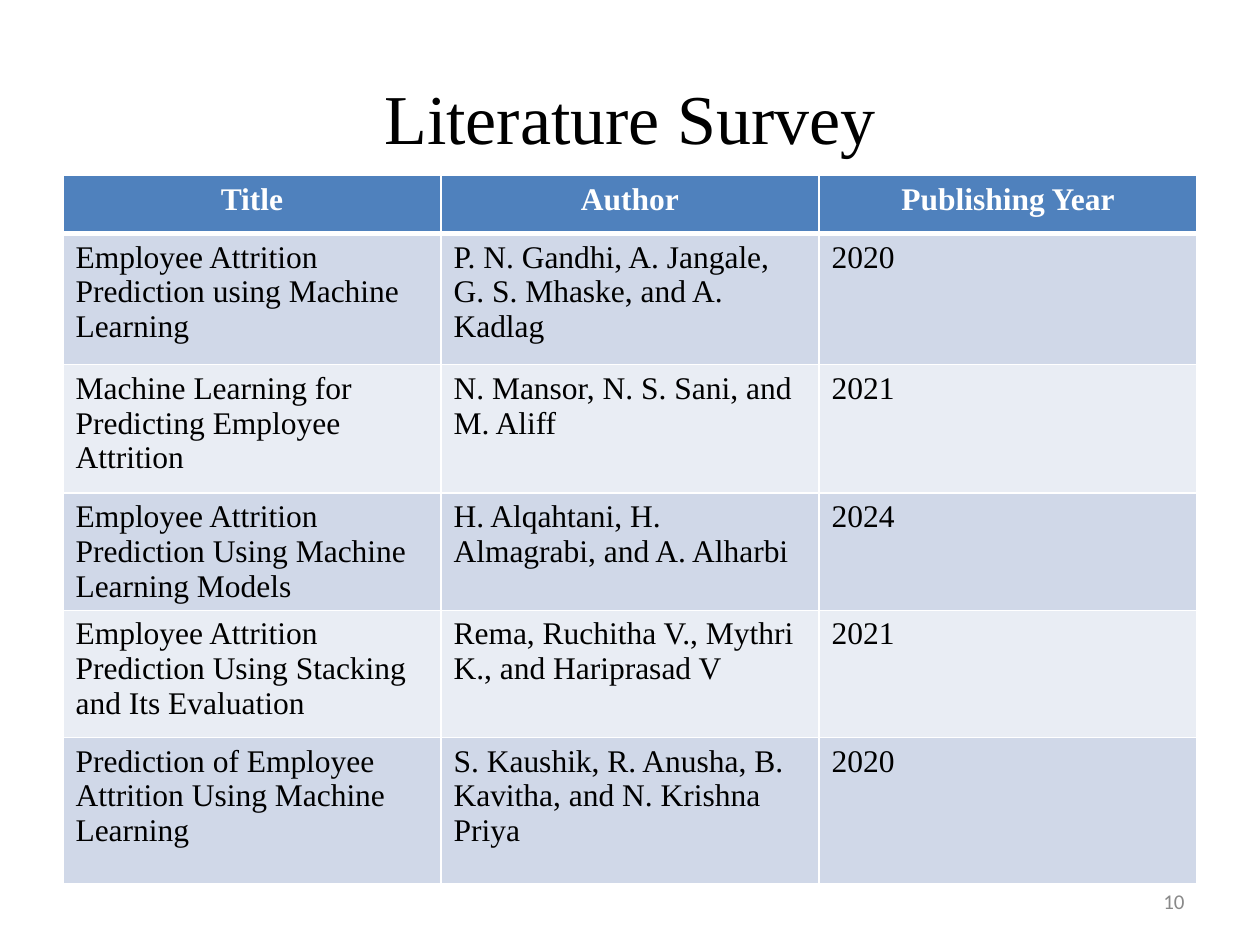
import pptx
import pptx.dml.color
import pptx.enum.text
import pptx.oxml.ns
import pptx.util
from lxml import etree

RGBColor = pptx.dml.color.RGBColor
Inches = pptx.util.Inches
Pt = pptx.util.Pt
ALIGN = pptx.enum.text.PP_ALIGN
MIDDLE = pptx.enum.text.MSO_ANCHOR.MIDDLE

BLACK = RGBColor(0x00, 0x00, 0x00)
WHITE = RGBColor(0xFF, 0xFF, 0xFF)
GRAY = RGBColor(0x89, 0x89, 0x89)
HEADER_BLUE = RGBColor(0x4F, 0x81, 0xBD)
BANDS = [RGBColor(0xD0, 0xD8, 0xE8), RGBColor(0xE9, 0xED, 0xF4)]

SLIDE_WIDTH, SLIDE_HEIGHT = Inches(10), Inches(7.5)
MARGIN = 0.05
ROW_HEIGHTS = [0.46, 1.04, 1.02, 0.93, 1.01, 1.16]

SERIF = "Times New Roman"
TITLE_FORMAT = {"name": SERIF, "size": Pt(40), "bold": False}
HEADER_FORMAT = {"name": SERIF, "size": Pt(18), "bold": True}
BODY_FORMAT = {"name": SERIF, "size": Pt(18), "bold": False}
NUMBER_FORMAT = {"name": "Calibri", "size": Pt(12), "bold": False}

SURVEY = [
    ("Title", "Author", "Publishing Year"),
    ("Employee Attrition Prediction using Machine Learning",
     "P. N. Gandhi, A. Jangale, G. S. Mhaske, and A. Kadlag", "2020"),
    ("Machine Learning for Predicting Employee Attrition",
     "N. Mansor, N. S. Sani, and M. Aliff", "2021"),
    ("Employee Attrition Prediction Using Machine Learning Models",
     "H. Alqahtani, H. Almagrabi, and A. Alharbi", "2024"),
    ("Employee Attrition Prediction Using Stacking and Its Evaluation",
     "Rema, Ruchitha V., Mythri K., and Hariprasad V", "2021"),
    ("Prediction of Employee\vAttrition Using Machine Learning",
     "S. Kaushik, R. Anusha, B. Kavitha, and N. Krishna Priya", "2020"),
]


def area(left, top, width, height):
    return (int(left * SLIDE_WIDTH), int(top * SLIDE_HEIGHT),
            int(width * SLIDE_WIDTH), int(height * SLIDE_HEIGHT))


def write(frame, wording, format_values, color, alignment):
    frame.word_wrap = True
    paragraph = frame.paragraphs[0]
    paragraph.text = wording
    paragraph.alignment = alignment
    for run in paragraph.runs:
        for attribute, value in format_values.items():
            setattr(run.font, attribute, value)
        run.font.color.rgb = color


def add_borders(cell, widths):
    qn = pptx.oxml.ns.qn
    properties = cell._tc.get_or_add_tcPr()
    for side, width in widths.items():
        line = etree.SubElement(properties, qn(f"a:ln{side}"), w=str(Pt(width)))
        fill = etree.SubElement(line, qn("a:solidFill"))
        etree.SubElement(fill, qn("a:srgbClr"), val=str(WHITE))


def add_title(slide, wording):
    title = slide.shapes.title
    title.left, title.top, title.width, title.height = area(
        MARGIN, 0.04, 1 - 2 * MARGIN, 1 / 6)
    title.text_frame.vertical_anchor = MIDDLE
    write(title.text_frame, wording, TITLE_FORMAT, BLACK, ALIGN.CENTER)


def add_survey_table(slide):
    survey = slide.shapes.add_table(
        len(SURVEY), len(SURVEY[0]),
        *area(MARGIN, 0.186, 1 - 2 * MARGIN, 0.75)).table
    for row, height in zip(survey.rows, ROW_HEIGHTS):
        row.height = Inches(height)
    for row_index, entry in enumerate(SURVEY):
        is_header = row_index == 0
        widths = {"L": 1, "R": 1, "T": 3 if row_index == 1 else 1,
                  "B": 3 if is_header else 1}
        for column_index, wording in enumerate(entry):
            cell = survey.cell(row_index, column_index)
            add_borders(cell, widths)
            cell.fill.solid()
            if is_header:
                cell.fill.fore_color.rgb = HEADER_BLUE
                write(cell.text_frame, wording, HEADER_FORMAT, WHITE, ALIGN.CENTER)
            else:
                cell.fill.fore_color.rgb = BANDS[(row_index - 1) % 2]
                write(cell.text_frame, wording, BODY_FORMAT, BLACK, ALIGN.LEFT)


def add_page_number(slide, wording):
    width = 0.233
    page_number = slide.shapes.add_textbox(
        *area(1 - MARGIN - width, 0.927, width, 0.053))
    page_number.text_frame.vertical_anchor = MIDDLE
    write(page_number.text_frame, wording, NUMBER_FORMAT, GRAY, ALIGN.RIGHT)


def main():
    presentation = pptx.Presentation()
    presentation.slide_width = SLIDE_WIDTH
    presentation.slide_height = SLIDE_HEIGHT
    slide = presentation.slides.add_slide(presentation.slide_layouts[5])
    add_title(slide, "Literature Survey")
    add_survey_table(slide)
    add_page_number(slide, "10")
    presentation.save("out.pptx")


if __name__ == "__main__":
    main()
